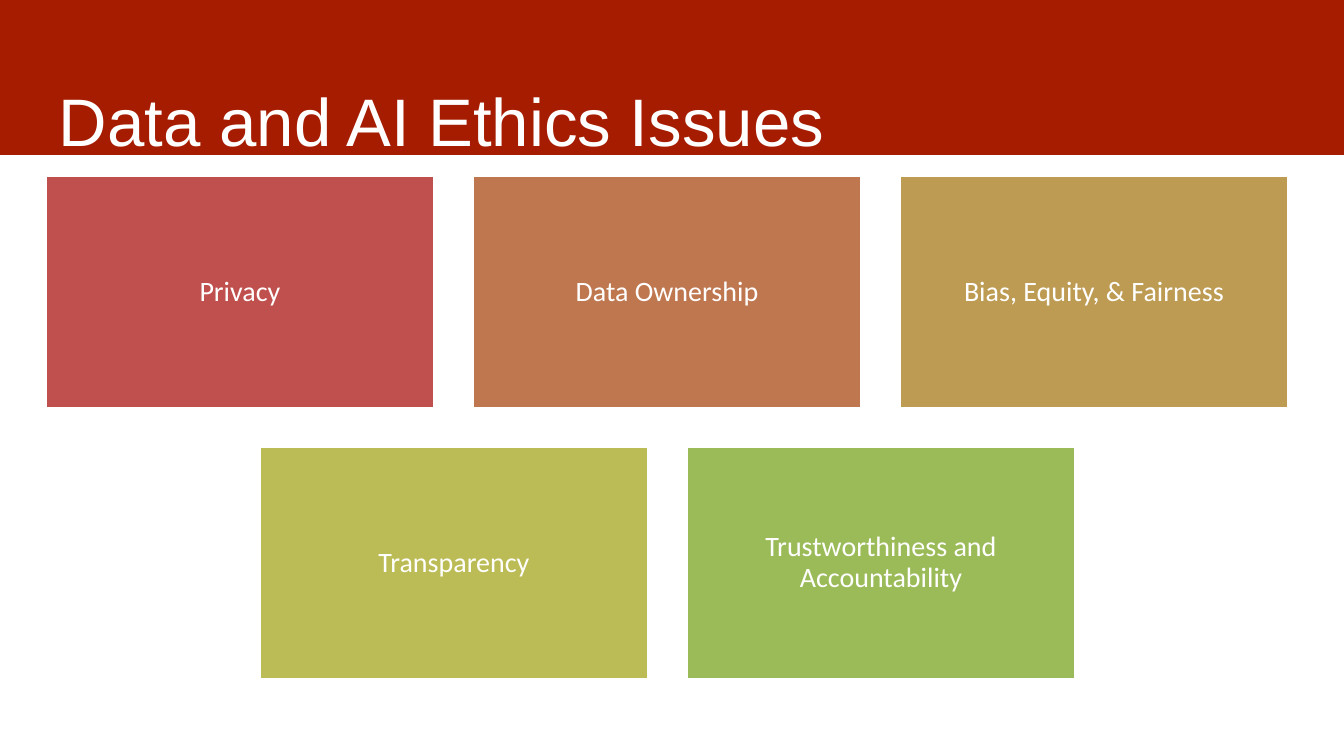
import pptx
import pptx.dml.color
import pptx.enum.shapes
import pptx.enum.text
import pptx.util

EMU_PER_INCH = 914400
PX_PER_INCH = 100.8
CENTRE_X = 667
TILE_TOP, TILE_WIDTH, TILE_HEIGHT = 176, 388, 232
PITCH_X, PITCH_Y = 427, 271
TILE_ROWS = [
    [("Privacy", "C0504D"), ("Data Ownership", "BF7750"), ("Bias, Equity, & Fairness", "BD9B53")],
    [("Transparency", "BCBC56"), ("Trustworthiness and Accountability", "9BBB59")],
]


def px(length):
    """Turn pixels into EMU."""
    return pptx.util.Emu(round(length * EMU_PER_INCH / PX_PER_INCH))


def color(value):
    """Turn a hex string into a colour."""
    return pptx.dml.color.RGBColor.from_string(value)


def write(box, text, *, font, size, ink="FFFFFF", align="LEFT", anchor="TOP",
          spacing=1.0, inset=0):
    """Put one formatted paragraph into a shape or text box."""
    frame = box.text_frame
    frame.word_wrap = True
    frame.vertical_anchor = getattr(pptx.enum.text.MSO_ANCHOR, anchor)
    frame.margin_left = frame.margin_right = px(inset)
    frame.margin_top = frame.margin_bottom = px(inset)
    para = frame.paragraphs[0]
    para.alignment = getattr(pptx.enum.text.PP_ALIGN, align)
    para.line_spacing = spacing
    span = para.add_run()
    span.text = text
    span.font.name = font
    span.font.size = pptx.util.Pt(size)
    span.font.color.rgb = color(ink)


def add_rectangle(page, left, top, width, height, fill, line=None):
    """Draw a filled rectangle with an optional outline."""
    box = page.shapes.add_shape(pptx.enum.shapes.MSO_SHAPE.RECTANGLE,
                                px(left), px(top), px(width), px(height))
    box.shadow.inherit = False
    box.fill.solid()
    box.fill.fore_color.rgb = color(fill)
    if line:
        box.line.color.rgb = color(line)
        box.line.width = pptx.util.Pt(2)
    else:
        box.line.fill.background()
    return box


def add_title(page, text):
    """Draw the banner and the title on it."""
    add_rectangle(page, -2, -4, 1347, 159, "A61C00")
    box = page.shapes.add_textbox(px(46), px(66), px(1252), px(84))
    write(box, text, font="Arial", size=48, inset=13)


def add_tile_row(page, tiles, top):
    """Draw one centred row of labelled tiles."""
    row_width = (len(tiles) - 1) * PITCH_X + TILE_WIDTH
    left = CENTRE_X - row_width // 2
    for column, (label, fill) in enumerate(tiles):
        tile = add_rectangle(page, left + column * PITCH_X, top,
                             TILE_WIDTH, TILE_HEIGHT, fill, line="FFFFFF")
        write(tile, label, font="Calibri", size=20, align="CENTER",
              anchor="MIDDLE", spacing=0.9, inset=8)


def main():
    """Build and save the slide."""
    deck = pptx.Presentation()
    deck.slide_width, deck.slide_height = px(1344), px(756)
    page = deck.slides.add_slide(deck.slide_layouts[6])
    add_title(page, "Data and AI Ethics Issues")
    for row, tiles in enumerate(TILE_ROWS):
        add_tile_row(page, tiles, TILE_TOP + row * PITCH_Y)
    deck.save("out.pptx")


if __name__ == "__main__":
    main()
